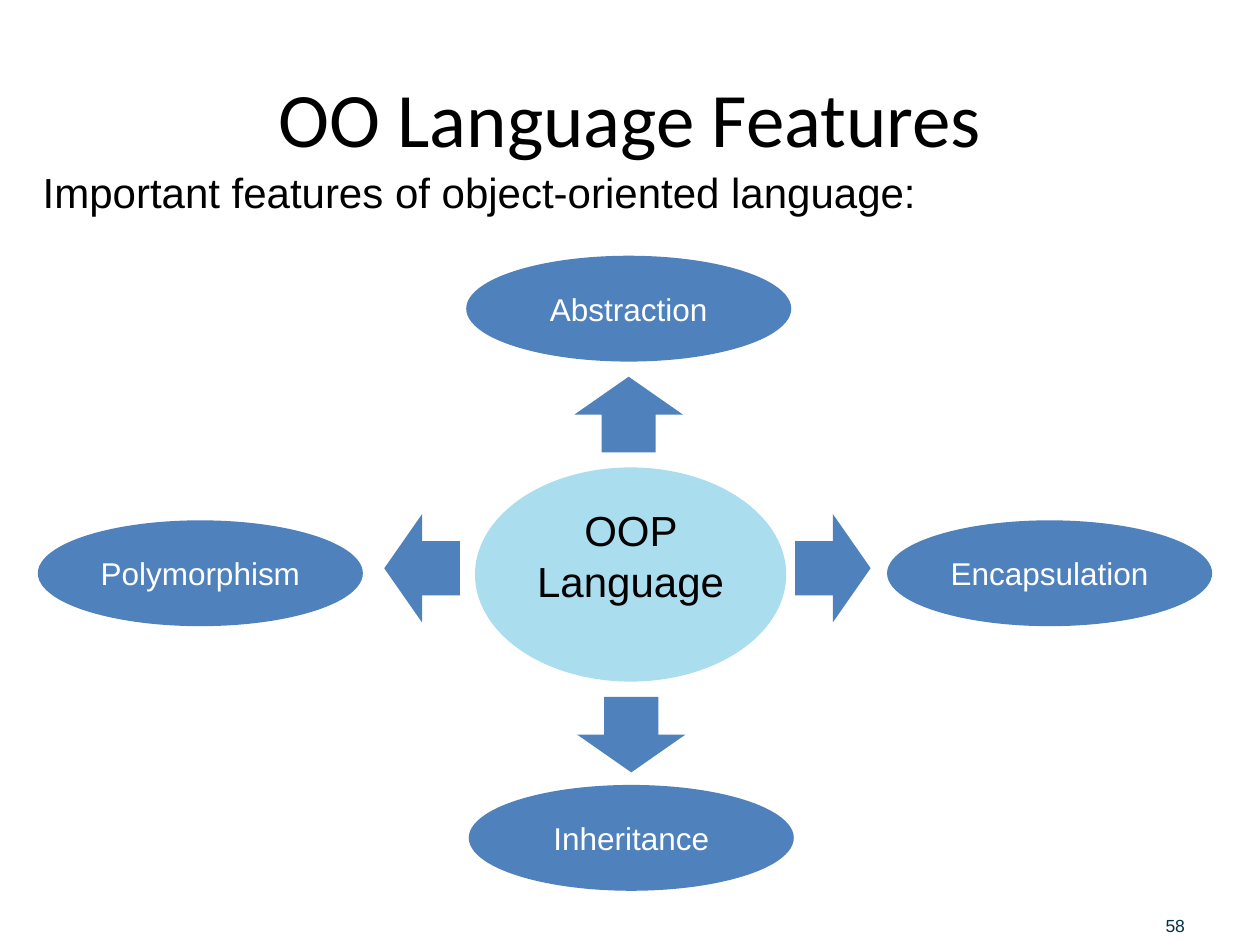
from dataclasses import dataclass

from pptx import Presentation
from pptx import util as u
from pptx.dml.color import RGBColor
from pptx.enum import shapes, text

COLS, ROWS = 100, 75
KIND = shapes.MSO_SHAPE
ALIGN = text.PP_ALIGN
ANCHOR = text.MSO_ANCHOR


@dataclass(frozen=True)
class Theme:
    blue: str = "4F81BD"
    sky: str = "AADDEE"
    black: str = "000000"
    white: str = "FFFFFF"
    navy: str = "003344"
    head: str = "Calibri"
    body: str = "Arial"
    title: int = 44
    lead: int = 24
    label: int = 18
    small: int = 10


@dataclass(frozen=True)
class Box:
    x: float
    y: float
    w: float
    h: float


@dataclass(frozen=True)
class Spoke:
    name: str
    x: float
    y: float
    tip_x: float
    tip_y: float
    turn: int


LOOK = Theme()
OVAL = (25.8, 8.4)
ARROW = (8.6, 6)
HUB = Box(37.7, 37.1, 24.7, 17)
SPOKES = [
    Spoke("Inheritance", 50.1, 66.5, 50.1, 58.3, 180),
    Spoke("Polymorphism", 15.9, 45.5, 33.5, 45.1, 270),
    Spoke("Abstraction", 49.9, 24.5, 49.9, 32.9, 0),
    Spoke("Encapsulation", 83.3, 45.5, 66.1, 45.1, 90),
]

deck = Presentation()
deck.slide_width, deck.slide_height = u.Inches(10), u.Inches(7.5)
slide = deck.slides.add_slide(deck.slide_layouts[5])


def place(box: Box) -> tuple[int, int, int, int]:
    col, row = deck.slide_width / COLS, deck.slide_height / ROWS
    return (round(box.x * col), round(box.y * row),
            round(box.w * col), round(box.h * row))


def around(x: float, y: float, size: tuple[float, float]) -> Box:
    w, h = size
    return Box(x - w / 2, y - h / 2, w, h)


def write(shape, words: str, size: int, color: str, align=ALIGN.CENTER,
          anchor=ANCHOR.MIDDLE, face: str = LOOK.body) -> None:
    frame = shape.text_frame
    frame.text = words
    frame.vertical_anchor = anchor
    para = frame.paragraphs[0]
    para.alignment = align
    para.font.name = face
    para.font.size = u.Pt(size)
    para.font.color.rgb = RGBColor.from_string(color)


def draw(kind, box: Box, color: str):
    shape = slide.shapes.add_shape(kind, *place(box))
    shape.shadow.inherit = False
    shape.fill.solid()
    shape.fill.fore_color.rgb = RGBColor.from_string(color)
    shape.line.fill.background()
    return shape


def note(box: Box, words: str, size: int, color: str, anchor, wrap: bool):
    shape = slide.shapes.add_textbox(*place(box))
    write(shape, words, size, color, ALIGN.LEFT, anchor)
    shape.text_frame.word_wrap = wrap
    return shape.text_frame


def main() -> None:
    title = slide.shapes.title
    title.left, title.top, title.width, title.height = place(Box(5, 3, 90, 12.5))
    write(title, "OO Language Features", LOOK.title, LOOK.black, face=LOOK.head)

    hub = draw(KIND.OVAL, HUB, LOOK.sky)
    write(hub, "OOP Language", LOOK.lead, LOOK.black, anchor=ANCHOR.TOP)

    for spoke in SPOKES:
        oval = draw(KIND.OVAL, around(spoke.x, spoke.y, OVAL), LOOK.blue)
        write(oval, spoke.name, LOOK.label, LOOK.white)
        arrow = draw(KIND.UP_ARROW, around(spoke.tip_x, spoke.tip_y, ARROW), LOOK.blue)
        arrow.rotation = spoke.turn

    lead = note(Box(2.4, 12.7, 72.8, 5), "Important features of object-oriented language:",
                LOOK.lead, LOOK.black, ANCHOR.TOP, False)
    lead.auto_size = text.MSO_AUTO_SIZE.SHAPE_TO_FIT_TEXT

    page = note(Box(92.5, 71.5, 6.9, 2.8), "58", LOOK.small, LOOK.navy,
                ANCHOR.BOTTOM, True)
    page.margin_left = page.margin_right = page.margin_top = page.margin_bottom = 0

    deck.save("out.pptx")


if __name__ == "__main__":
    main()
